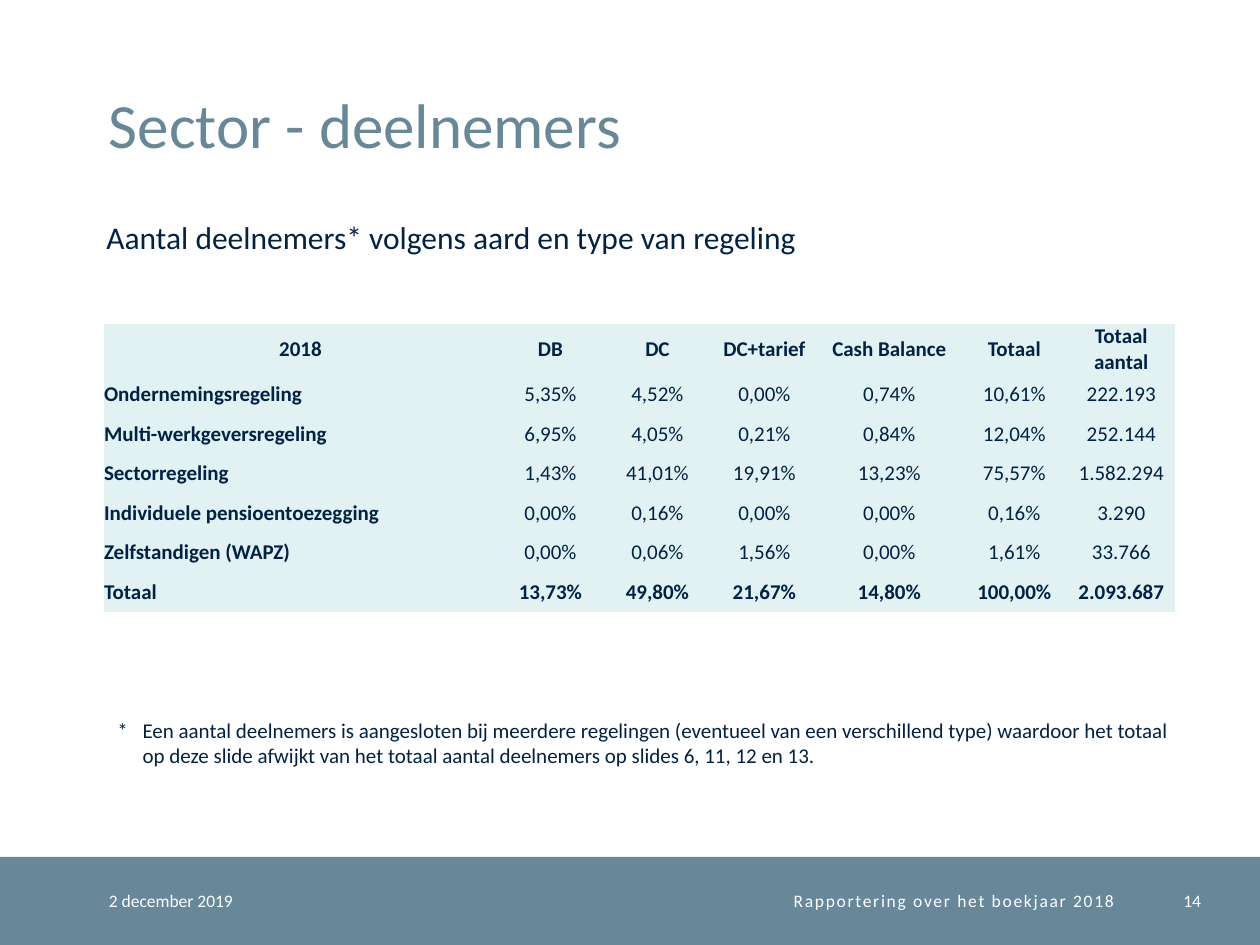
from pptx import Presentation
from pptx import util as u
from pptx.dml.color import RGBColor
from pptx.enum import shapes, text

PX = u.Inches(1) / 126
SLATE = RGBColor(0x66, 0x88, 0x99)
NAVY = RGBColor(0x00, 0x22, 0x44)
MINT = RGBColor(0xE2, 0xF2, 0xF3)
WHITE = RGBColor(0xFF, 0xFF, 0xFF)
LEFT, CENTER, RIGHT = text.PP_ALIGN.LEFT, text.PP_ALIGN.CENTER, text.PP_ALIGN.RIGHT
MIDDLE = text.MSO_ANCHOR.MIDDLE


def px(*lengths):
    return [u.Emu(round(n * PX)) for n in lengths]


def add_text(box, content, size=12, color=NAVY, bold=False, align=LEFT,
             anchor=text.MSO_ANCHOR.TOP, inset=0, spacing=None):
    """Put one formatted paragraph in (left, top, width, height) px, or in a table cell."""
    if isinstance(box, tuple):
        tf = s.shapes.add_textbox(*px(*box)).text_frame
        tf.word_wrap = True
        frame = tf
    else:
        tf, frame = box.text_frame, box
    frame.vertical_anchor = anchor
    frame.margin_left = frame.margin_right = u.Inches(inset)
    frame.margin_top = frame.margin_bottom = u.Inches(inset / 2)
    p = tf.paragraphs[0]
    p.alignment = align
    r = p.add_run()
    r.text = content
    r.font.name, r.font.size, r.font.bold = "Calibri", u.Pt(size), bold
    r.font.color.rgb = color
    if spacing:
        r.font._element.set("spc", str(spacing * 100))
    return p


prs = Presentation()
prs.slide_width, prs.slide_height = px(1260, 945)
s = prs.slides.add_slide(prs.slide_layouts[6])

# Footer
FOOTER_TOP, FOOTER_HEIGHT = 857, 88
band = s.shapes.add_shape(shapes.MSO_SHAPE.RECTANGLE, *px(0, FOOTER_TOP, 1260, FOOTER_HEIGHT))
band.shadow.inherit = False
band.fill.solid()
band.fill.fore_color.rgb = SLATE
band.line.fill.background()
for left, width, content, align, spacing in [
    (109, 223, "2 december 2019", LEFT, None),
    (333, 781, "Rapportering over het boekjaar 2018", RIGHT, 1),
    (1139, 62, "14", RIGHT, None),
]:
    add_text((left, FOOTER_TOP, width, FOOTER_HEIGHT), content, size=10, color=WHITE,
             align=align, anchor=MIDDLE, spacing=spacing)

# Headings
title = add_text((109, 25, 1087, 136), "Sector - deelnemers", size=36, color=SLATE,
                 anchor=text.MSO_ANCHOR.BOTTOM)
title.line_spacing = u.Pt(32)
add_text((94, 212, 1062, 51), "Aantal deelnemers* volgens aard en type van regeling",
         size=18, inset=0.1)

# Members by scheme
rows = [
    ("2018", "DB", "DC", "DC+tarief", "Cash Balance", "Totaal", "Totaal aantal"),
    ("Ondernemingsregeling", "5,35%", "4,52%", "0,00%", "0,74%", "10,61%", "222.193"),
    ("Multi-werkgeversregeling", "6,95%", "4,05%", "0,21%", "0,84%", "12,04%", "252.144"),
    ("Sectorregeling", "1,43%", "41,01%", "19,91%", "13,23%", "75,57%", "1.582.294"),
    ("Individuele pensioentoezegging", "0,00%", "0,16%", "0,00%", "0,00%", "0,16%", "3.290"),
    ("Zelfstandigen (WAPZ)", "0,00%", "0,06%", "1,56%", "0,00%", "1,61%", "33.766"),
    ("Totaal", "13,73%", "49,80%", "21,67%", "14,80%", "100,00%", "2.093.687"),
]
widths = [393, 107, 107, 107, 143, 107, 107]
heights = [51, 39, 40, 39, 40, 39, 40]
table = s.shapes.add_table(len(rows), len(widths),
                           *px(104, 324, sum(widths), sum(heights))).table
table.first_row = table.horz_banding = False
for column, width in zip(table.columns, px(*widths)):
    column.width = width
for row, height in zip(table.rows, px(*heights)):
    row.height = height
last = len(rows) - 1
for i, values in enumerate(rows):
    for j, value in enumerate(values):
        cell = table.cell(i, j)
        cell.fill.solid()
        cell.fill.fore_color.rgb = MINT
        add_text(cell, value, bold=i in (0, last) or j == 0,
                 align=LEFT if i and j == 0 else CENTER, anchor=MIDDLE)
# Plain table style without grid lines
table._tbl.tblPr.find("{*}tableStyleId").text = "{2D5ABB26-0587-4C30-8999-92F81FD0307C}"

# Footnote
note = add_text((105, 711, 1101, 63),
                "*\tEen aantal deelnemers is aangesloten bij meerdere regelingen (eventueel van een "
                "verschillend type) waardoor het totaal op deze slide afwijkt van het totaal aantal "
                "deelnemers op slides 6, 11, 12 en 13.", inset=0.1)
pPr = note._p.get_or_add_pPr()
indent = u.Inches(0.2)
pPr.set("marL", str(indent))
pPr.set("indent", str(-indent))

prs.save("out.pptx")
